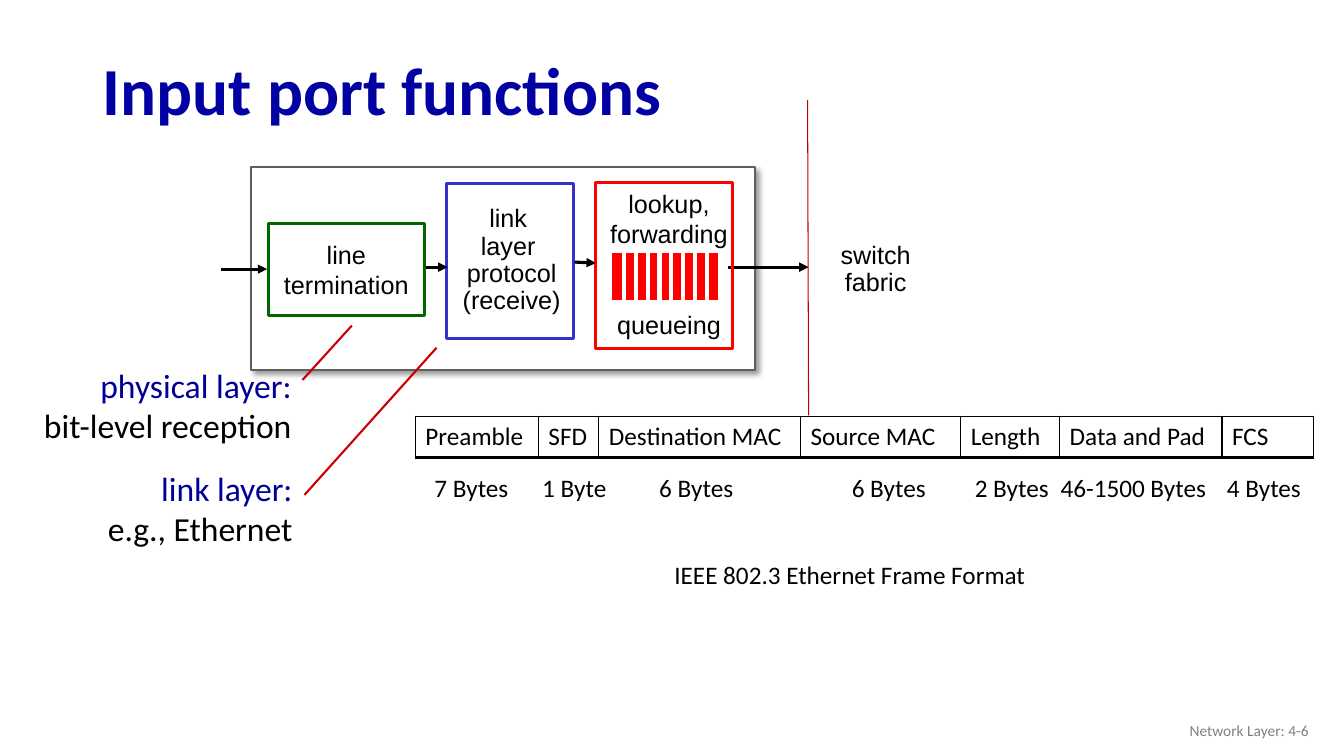
from dataclasses import dataclass

from lxml import etree
from pptx import Presentation
from pptx.dml.color import RGBColor
from pptx.enum.shapes import MSO_CONNECTOR, MSO_SHAPE
from pptx.enum.text import MSO_ANCHOR, PP_ALIGN
from pptx.oxml.ns import qn
from pptx.util import Inches, Pt

LEFT, CENTER, RIGHT = PP_ALIGN.LEFT, PP_ALIGN.CENTER, PP_ALIGN.RIGHT
TOP, MIDDLE = MSO_ANCHOR.TOP, MSO_ANCHOR.MIDDLE
RECTANGLE = MSO_SHAPE.RECTANGLE
STRAIGHT = MSO_CONNECTOR.STRAIGHT


@dataclass(frozen=True)
class Theme:
    body_font: str = "Calibri"
    diagram_font: str = "Arial"
    title_size: float = 48
    layer_size: float = 24
    label_size: float = 18
    footer_size: float = 11
    title: str = "0000A3"
    layer: str = "000099"
    ink: str = "000000"
    paper: str = "FFFFFF"
    frame: str = "5F5F5F"
    footer: str = "808080"
    physical: str = "006600"
    link: str = "3333CC"
    queue: str = "FF0000"
    pointer: str = "CC0000"
    fabric: str = "C00000"


def add_xml(parent, tag, **attributes):
    return etree.SubElement(parent, qn(tag), attributes)


class SlideBuilder:
    def __init__(self, slide, theme):
        self.shapes = slide.shapes
        self.theme = theme

    def style(self, paragraph, size, color, font, bold=False):
        for run in paragraph.runs:
            run.font.size = Pt(size)
            run.font.name = font
            run.font.bold = bold
            run.font.color.rgb = RGBColor.from_string(color)

    def text(self, lines, box, size=None, colors=None, font=None, align=LEFT,
             anchor=TOP, spacing=None, bold=False):
        frame = self.shapes.add_textbox(*map(Inches, box)).text_frame
        frame.word_wrap = True
        frame.vertical_anchor = anchor
        if align == CENTER:
            frame.margin_left = frame.margin_right = 0
        frame.text = "\n".join(lines)
        colors = colors or [self.theme.ink] * len(lines)
        for paragraph, color in zip(frame.paragraphs, colors):
            paragraph.alignment = align
            if spacing:
                paragraph.line_spacing = spacing
            self.style(paragraph, size or self.theme.label_size, color,
                       font or self.theme.body_font, bold)
        return frame

    def diagram_label(self, lines, box, anchor=MIDDLE, spacing=None):
        return self.text(lines, box, font=self.theme.diagram_font,
                         align=CENTER, anchor=anchor, spacing=spacing)

    def box(self, box, line, width, fill=None):
        shape = self.shapes.add_shape(RECTANGLE, *map(Inches, box))
        shape.shadow.inherit = False
        if fill:
            shape.fill.solid()
            shape.fill.fore_color.rgb = RGBColor.from_string(fill)
        else:
            shape.fill.background()
        shape.line.color.rgb = RGBColor.from_string(line)
        shape.line.width = Pt(width)
        return shape

    def drop_shadow(self, shape):
        effects = shape._element.spPr.find(qn("a:effectLst"))
        shadow = add_xml(effects, "a:outerShdw", blurRad=str(Pt(4)),
                         dist=str(Pt(3)), dir=str(45 * 60000))
        color = add_xml(shadow, "a:srgbClr", val=self.theme.ink)
        add_xml(color, "a:alpha", val="40000")

    def line(self, start, end, color, width, arrow=False):
        connector = self.shapes.add_connector(
            STRAIGHT, *map(Inches, (*start, *end)))
        connector.line.color.rgb = RGBColor.from_string(color)
        connector.line.width = Pt(width)
        if arrow:
            add_xml(connector.line._get_or_add_ln(), "a:tailEnd", type="triangle")
        add_xml(connector._element.spPr, "a:effectLst")

    def arrow(self, start, end):
        self.line(start, end, self.theme.ink, 2.25, arrow=True)

    def cell_borders(self, cell):
        properties = cell._tc.get_or_add_tcPr()
        for index, (side, width) in enumerate(
                (("L", 1), ("R", 1), ("T", 1), ("B", 2))):
            border = etree.Element(qn(f"a:ln{side}"), w=str(Pt(width)))
            add_xml(add_xml(border, "a:solidFill"), "a:srgbClr", val=self.theme.ink)
            properties.insert(index, border)

    def header_table(self, fields, box, widths):
        table = self.shapes.add_table(1, len(fields), *map(Inches, box)).table
        table.first_row = table.horz_banding = False
        for column, width in zip(table.columns, widths):
            column.width = Inches(width)
        for cell, field in zip(table.rows[0].cells, fields):
            cell.text = field
            cell.fill.background()
            self.style(cell.text_frame.paragraphs[0], self.theme.label_size,
                       self.theme.ink, self.theme.body_font)
            self.cell_borders(cell)


def main():
    presentation = Presentation()
    presentation.slide_width = Inches(13.33)
    presentation.slide_height = Inches(7.5)
    slide = presentation.slides.add_slide(presentation.slide_layouts[6])
    theme = Theme()
    page = SlideBuilder(slide, theme)

    # Title
    page.text(["Input port functions"], (0.92, 0.44, 11.5, 0.98), theme.title_size,
              [theme.title], anchor=MIDDLE, spacing=0.9, bold=True)

    # Input port frame and switch fabric
    port = page.box((2.49, 1.66, 5, 2.01), theme.frame, 1.5, theme.paper)
    page.drop_shadow(port)
    page.arrow((2.19, 2.67), (2.65, 2.67))
    page.arrow((7.22, 2.65), (8.02, 2.65))
    page.line((8.01, 0.99), (8.02, 4.12), theme.fabric, 0.75)
    page.diagram_label(["switch", "fabric"], (8.11, 2.22, 1.15, 0.91), spacing=0.9)

    # Line termination
    termination = (2.66, 2.22, 1.55, 0.91)
    page.box(termination, theme.physical, 2.25, theme.paper)
    page.diagram_label(["line", "termination"], termination)

    # Link layer protocol
    page.diagram_label(["link ", "layer ", "protocol", "(receive)"],
                       (4.5, 2.13, 1.15, 0.91), spacing=0.9)
    page.box((4.43, 1.82, 1.26, 1.54), theme.link, 2.25)
    page.arrow((4.23, 2.65), (4.44, 2.65))

    # Lookup, forwarding and the queue
    lookup = page.diagram_label(["lookup,", "forwarding", "queueing"],
                                (5.95, 1.82, 1.37, 1.6), anchor=TOP)
    lookup.paragraphs[2].space_before = Pt(43)
    page.box((6.05, 2.49, 1.09, 0.51), theme.paper, 3, theme.queue)
    for slot in range(8):
        x = 6.19 + slot * 0.82 / 7
        page.line((x, 2.5), (x, 2.99), theme.paper, 3)
    page.box((5.91, 1.81, 1.36, 1.65), theme.queue, 2.25)
    page.arrow((5.7, 2.6), (5.91, 2.61))

    # Layer notes with their pointers
    layer_notes = [
        (["physical layer:", "bit-level reception"], (0.28, 3.57, 2.71, 0.91),
         (3, 3.77), (3.49, 3.23)),
        (["link layer:", "e.g., Ethernet"], (0.95, 4.59, 2.05, 0.91),
         (3.02, 4.91), (4.33, 3.45)),
    ]
    for lines, box, start, end in layer_notes:
        page.text(lines, box, theme.layer_size, [theme.layer, theme.ink], align=RIGHT)
        page.line(start, end, theme.pointer, 1.5)

    # Ethernet frame: field name, column width, size, left and width of size label
    frame_fields = [
        ("Preamble", 1.22, "7 Bytes", 4.21, 1.03),
        ("SFD", 0.6, "1 Byte", 5.28, 0.86),
        ("Destination MAC", 2, "6 Bytes", 6.44, 1.03),
        ("Source MAC", 1.59, "6 Bytes", 8.35, 1.03),
        ("Length", 0.98, "2 Bytes", 9.57, 1.03),
        ("Data and Pad", 1.61, "46-1500 Bytes", 10.42, 1.82),
        ("FCS", 0.91, "4 Bytes", 12.07, 1.03),
    ]
    names, widths, *_ = zip(*frame_fields)
    page.header_table(names, (4.12, 4.13, 8.89, 0.41), widths)
    for _, _, field_size, left, width in frame_fields:
        page.text([field_size], (left, 4.64, width, 0.4))
    page.text(["IEEE 802.3 Ethernet Frame Format"], (6.59, 5.5, 4.06, 0.4))

    # Footer
    page.text(["Network Layer: 4-6"], (10.08, 7.05, 3, 0.4), theme.footer_size,
              [theme.footer], align=RIGHT, anchor=MIDDLE)

    presentation.save("out.pptx")


if __name__ == "__main__":
    main()
